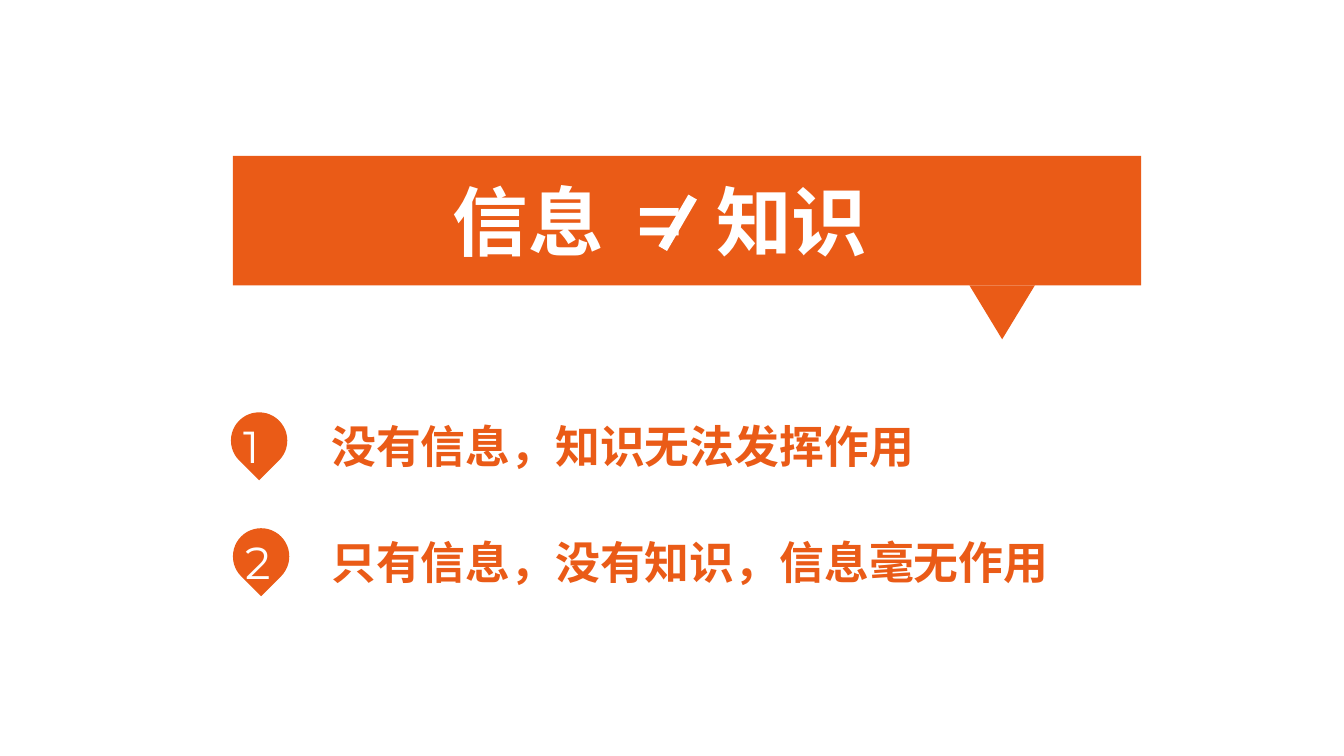
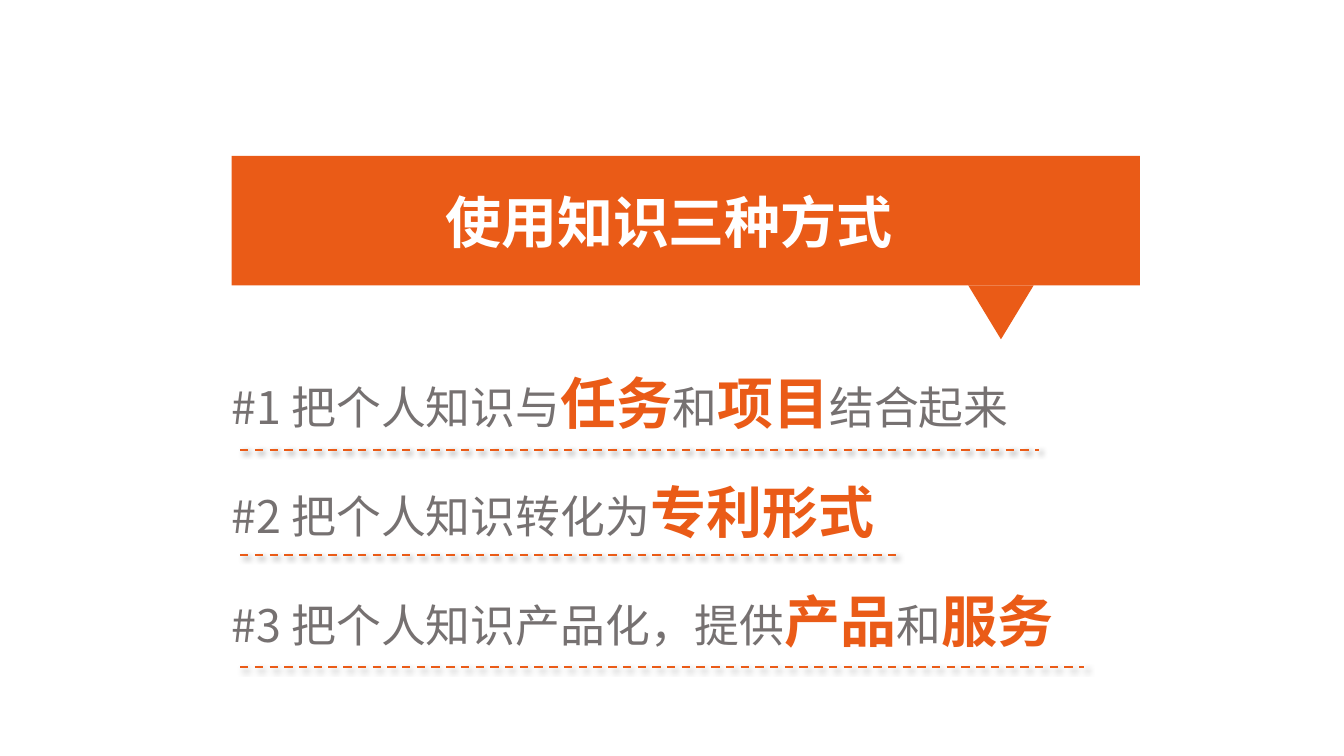
from lxml.etree import SubElement as Sub
from pptx import Presentation
from pptx.dml.color import RGBColor
from pptx.enum.dml import MSO_LINE_DASH_STYLE as Dash
from pptx.enum.shapes import MSO_CONNECTOR as Conn, MSO_SHAPE as Shape
from pptx.enum.text import MSO_ANCHOR as Anchor, MSO_AUTO_SIZE as Auto, PP_ALIGN as Align
from pptx.oxml.ns import qn
from pptx.util import Cm, Pt

ORANGE = RGBColor(0xEA, 0x5B, 0x17)
GRAY = RGBColor(0x76, 0x71, 0x71)
WHITE = RGBColor(0xFF, 0xFF, 0xFF)
SANS, DIGIT = "Noto Sans CJK SC", "Montserrat"


def style(run, size, color, bold=False, face=SANS):
    font = run.font
    font.size, font.bold, font.name = Pt(size), bold, face
    font.color.rgb = color
    Sub(run._r.get_or_add_rPr(), qn("a:ea"), typeface=face)


def solid(slide, kind, color, x, y, w, h, turn=0):
    part = slide.shapes.add_shape(kind, Cm(x), Cm(y), Cm(w), Cm(h))
    part.shadow.inherit = False
    part.fill.solid()
    part.fill.fore_color.rgb = color
    part.line.fill.background()
    part.rotation = turn
    return part


def label(slide, x, y, w, h):
    """Add a wrapping text box and return its frame."""
    frame = slide.shapes.add_textbox(Cm(x), Cm(y), Cm(w), Cm(h)).text_frame
    frame.word_wrap = True
    return frame


def banner(slide, text, size, x, inset):
    """Title on an orange band with a tail below; returns the title runs."""
    y, w, h = 3.93, 22.89, 3.26
    title = slide.shapes.title
    title.left, title.top, title.width, title.height = Cm(x), Cm(y), Cm(w), Cm(h)
    title.fill.solid()
    title.fill.fore_color.rgb = ORANGE
    frame = title.text_frame
    frame.auto_size, frame.word_wrap = Auto.NONE, True
    frame.vertical_anchor = Anchor.MIDDLE
    frame.margin_left = Cm(inset)
    para = frame.paragraphs[0]
    para.alignment = Align.LEFT
    for piece in text:
        run = para.add_run()
        run.text = piece
        style(run, size, WHITE, True)
    solid(slide, Shape.ISOSCELES_TRIANGLE, ORANGE, x + 18.56, y + h, 1.65, 1.36, 180)
    return para.runs


def point(slide, num, text, x, y, width):
    """Numbered pin with a statement to its right."""
    solid(slide, Shape.TEAR, ORANGE, x, y, 1.42, 1.42, 135)
    frame = label(slide, x + 0.06, y + 0.03, 1.42, 1.63)
    frame.text = str(num)
    style(frame.paragraphs[0].runs[0], 32, WHITE, face=DIGIT)
    frame = label(slide, 8.1, y + 0.03, width, 1.63)
    frame.text = text
    style(frame.paragraphs[0].runs[0], 32, ORANGE, True)


def rule(slide, x, y, w):
    """Dashed line with a soft shadow."""
    line = slide.shapes.add_connector(Conn.STRAIGHT, Cm(x), Cm(y), Cm(x + w), Cm(y))
    line.line.color.rgb = ORANGE
    line.line.width = Pt(1.5)
    line.line.dash_style = Dash.DASH
    fx = Sub(line._element.spPr, qn("a:effectLst"))
    shade = Sub(fx, qn("a:outerShdw"), blurRad=str(Pt(4)), dist=str(Pt(3)),
                dir=str(45 * 60000), algn="tl", rotWithShape="0")
    tint = Sub(shade, qn("a:srgbClr"), val="000000")
    Sub(tint, qn("a:alpha"), val="40000")


def way(slide, parts, x, y, width, drop, length):
    """Statement whose every second part is a keyword, underlined."""
    frame = label(slide, x, y, width, 1.96)
    frame.margin_left = 0
    for i, text in enumerate(parts):
        run = frame.paragraphs[0].add_run()
        run.text = text
        if i % 2:
            style(run, 40, ORANGE, True)
        else:
            style(run, 32, GRAY)
    rule(slide, x + 0.21, y + drop, length)


def differ(slide):
    x = 5.87
    runs = banner(slide, ["信息", " ", "=", " ", "知识"], 54, x, 5.54)
    for gap in runs[1::2]:  # widen the spaces around the sign
        gap._r.get_or_add_rPr().set("spc", "1200")
    solid(slide, Shape.RECTANGLE, WHITE, x + 10.46, 5.49, 1.5, 0.25, 300.2)
    points = [("没有信息，知识无法发挥作用", 5.82, 15.9),
              ("只有信息，没有知识，信息毫无作用", 5.87, 19.13)]
    for i, (text, left, width) in enumerate(points):
        point(slide, i + 1, text, left, 10.39 + i * 2.92, width)


def ways(slide):
    x = 5.84
    banner(slide, ["使用知识三种方式"], 40, x, 5.38)
    rows = [(["#1 把个人知识与", "任务", "和", "项目", "结合起来"], 22.05, 2.16, 20.14),
            (["#2 把个人知识转化为", "专利形式"], 17.02, 2.08, 16.53),
            (["#3 把个人知识产品化，提供", "产品", "和", "服务"], 22.5, 2.16, 21.28)]
    for i, (parts, width, drop, length) in enumerate(rows):
        way(slide, parts, x, 9.17 + i * 2.74, width, drop, length)


def main():
    deck = Presentation()
    deck.slide_width, deck.slide_height = Cm(33.87), Cm(19.05)
    for build in (differ, ways):
        build(deck.slides.add_slide(deck.slide_layouts[5]))
    deck.save("out.pptx")


if __name__ == "__main__":
    main()
